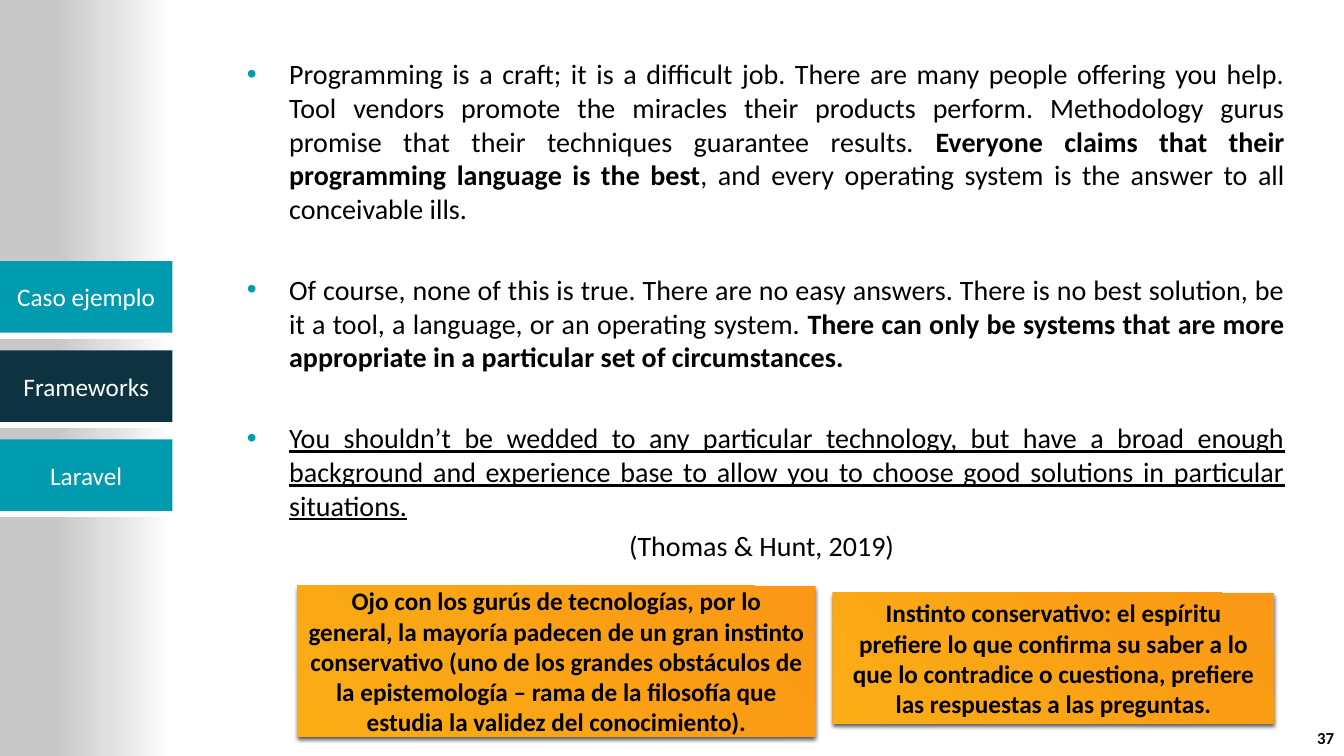
"""Build the frameworks slide: side menu, quoted bullets and two orange notes."""
import pptx
import pptx.util
import pptx.dml.color
import pptx.enum.shapes
import pptx.enum.text
import pptx.oxml
import pptx.oxml.ns
import lxml.etree

Inches, Pt = pptx.util.Inches, pptx.util.Pt
RGB = pptx.dml.color.RGBColor.from_string
ALIGN = pptx.enum.text.PP_ALIGN
MIDDLE = pptx.enum.text.MSO_ANCHOR.MIDDLE
NS = pptx.oxml.ns.nsdecls("a")
COLORS = {"teal": "009BAF", "navy": "0D3240", "white": "FFFFFF", "black": "000000",
          "mist": "E0E0E0", "gray": "C8C8C8", "amber": "FAAD15", "orange": "FB9815"}


def block(box, stops, shade):
    """Add a rectangle without outline, filled plain or with gradient stops."""
    shape = slide.shapes.add_shape(
        pptx.enum.shapes.MSO_SHAPE.RECTANGLE, *[Inches(n) for n in box])
    shape.shadow.inherit = False
    shape.line.fill.background()
    if not shade:
        shape.fill.solid()
        shape.fill.fore_color.rgb = RGB(COLORS[stops])
        return shape
    shape.fill.gradient()
    grad = shape._element.spPr.find(pptx.oxml.ns.qn("a:gradFill"))
    for child in list(grad):
        grad.remove(child)
    marks = "".join(f'<a:gs pos="{pos * 1000}"><a:srgbClr val="{COLORS[name]}"/></a:gs>'
                    for pos, name in stops)
    grad.append(pptx.oxml.parse_xml(f"<a:gsLst {NS}>{marks}</a:gsLst>"))
    grad.append(pptx.oxml.parse_xml(shade))
    return shape


def write(para, runs, size, color, align):
    """Fill a paragraph with (text, bold, underline) runs."""
    para.alignment = align
    for text, bold, under in runs:
        run = para.add_run()
        run.text = text
        font = run.font
        font.name, font.size = "Calibri", Pt(size)
        font.bold, font.underline = bold, under
        font.color.rgb = RGB(COLORS[color])


deck = pptx.Presentation()
deck.slide_width, deck.slide_height = Inches(13.33), Inches(7.5)
slide = deck.slides.add_slide(deck.slide_layouts[6])

block((-0.01, 0, 1.71, 7.5), [(0, "white"), (36, "mist"), (67, "gray")],
      f'<a:lin {NS} ang="10800000" scaled="0"/>')

menu = [("Caso ejemplo", "teal"), ("Frameworks", "navy"), ("Laravel", "teal")]
for row, (label, color) in enumerate(menu):
    top = 2.59 + row * 0.885
    strip = block((0, top + 0.71, 1.71, 0.05), "white", None)
    strip.line.color.rgb = RGB(COLORS["white"])
    strip.line.width = Pt(1.25)
    tab = block((0, top, 1.71, 0.71), color, None)
    tab.text_frame.vertical_anchor = MIDDLE
    write(tab.text_frame.paragraphs[0], [(label, False, False)], 18, "white", ALIGN.CENTER)

quotes = [
    [("Programming is a craft; it is a difficult job. There are many people offering you help. "
      "Tool vendors promote the miracles their products perform. Methodology gurus promise that "
      "their techniques guarantee results. ", False, False),
     ("Everyone claims that their programming language is the best", True, False),
     (", and every operating system is the answer to all conceivable ills.", False, False)],
    [("Of course, none of this is true. There are no easy answers. There is no best solution, "
      "be it a tool, a language, or an operating system. ", False, False),
     ("There can only be systems that are more appropriate in a particular set of "
      "circumstances.", True, False)],
    [("You shouldn’t be wedded to any particular technology, but have a broad enough background "
      "and experience base to allow you to choose good solutions in particular situations.",
      False, True)],
]
body = slide.shapes.add_textbox(Inches(2.27), Inches(0.21), Inches(10.57), Inches(5.72)).text_frame
body.word_wrap = True
body.vertical_anchor = MIDDLE
for row, runs in enumerate(quotes):
    para = body.add_paragraph() if row else body.paragraphs[0]
    if row:
        para.space_before = Pt(34)
    props = para._p.get_or_add_pPr()
    props.set("marL", str(Inches(0.5)))
    props.set("indent", str(Inches(-0.42)))
    for xml in (f'<a:buClr {NS}><a:srgbClr val="{COLORS["teal"]}"/></a:buClr>',
                f'<a:buFont {NS} typeface="Arial"/>', f'<a:buChar {NS} char="•"/>'):
        props.append(pptx.oxml.parse_xml(xml))
    write(para, runs, 20, "black", ALIGN.JUSTIFY)
cite = body.add_paragraph()
cite.space_before = Pt(4.8)
write(cite, [("(Thomas & Hunt, 2019)", False, False)], 20, "black", ALIGN.CENTER)

page = slide.shapes.add_textbox(Inches(12.81), Inches(7.15), Inches(0.52), Inches(0.34)).text_frame
page.word_wrap = True
page.vertical_anchor = MIDDLE
write(page.paragraphs[0], [("37", True, False)], 12, "black", ALIGN.RIGHT)

notes = [
    ((2.95, 5.81, 5.14, 1.5),
     "Ojo con los gurús de tecnologías, por lo general, la mayoría padecen de un gran instinto "
     "conservativo (uno de los grandes obstáculos de la epistemología – rama de la filosofía "
     "que estudia la validez del conocimiento)."),
    ((8.26, 5.88, 4.38, 1.3),
     "Instinto conservativo: el espíritu prefiere lo que confirma su saber a lo que lo "
     "contradice o cuestiona, prefiere las respuestas a las preguntas."),
]
for box, text in notes:
    note = block(box, [(0, "amber"), (100, "orange")],
                 f'<a:path {NS} path="circle"><a:fillToRect t="100000" r="100000"/></a:path>')
    effects = note._element.spPr.find(pptx.oxml.ns.qn("a:effectLst"))
    effects.append(pptx.oxml.parse_xml(
        f'<a:outerShdw {NS} blurRad="{Pt(3)}" dist="{Pt(2)}" dir="5400000" rotWithShape="0">'
        f'<a:srgbClr val="{COLORS["black"]}"><a:alpha val="64000"/></a:srgbClr></a:outerShdw>'))
    note.text_frame.word_wrap = True
    note.text_frame.vertical_anchor = MIDDLE
    write(note.text_frame.paragraphs[0], [(text, True, False)], 18, "black", ALIGN.CENTER)

deck.save("out.pptx")
